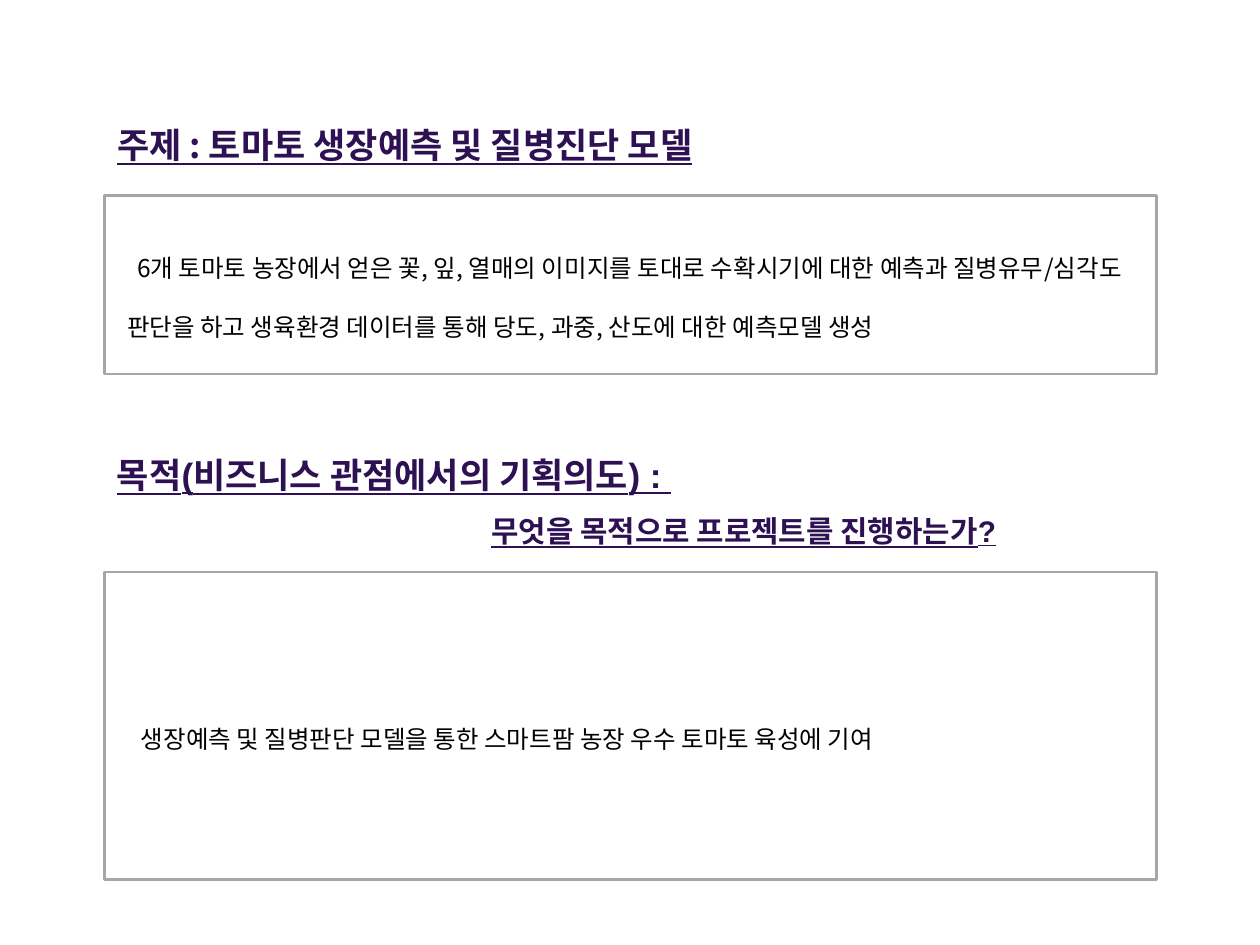
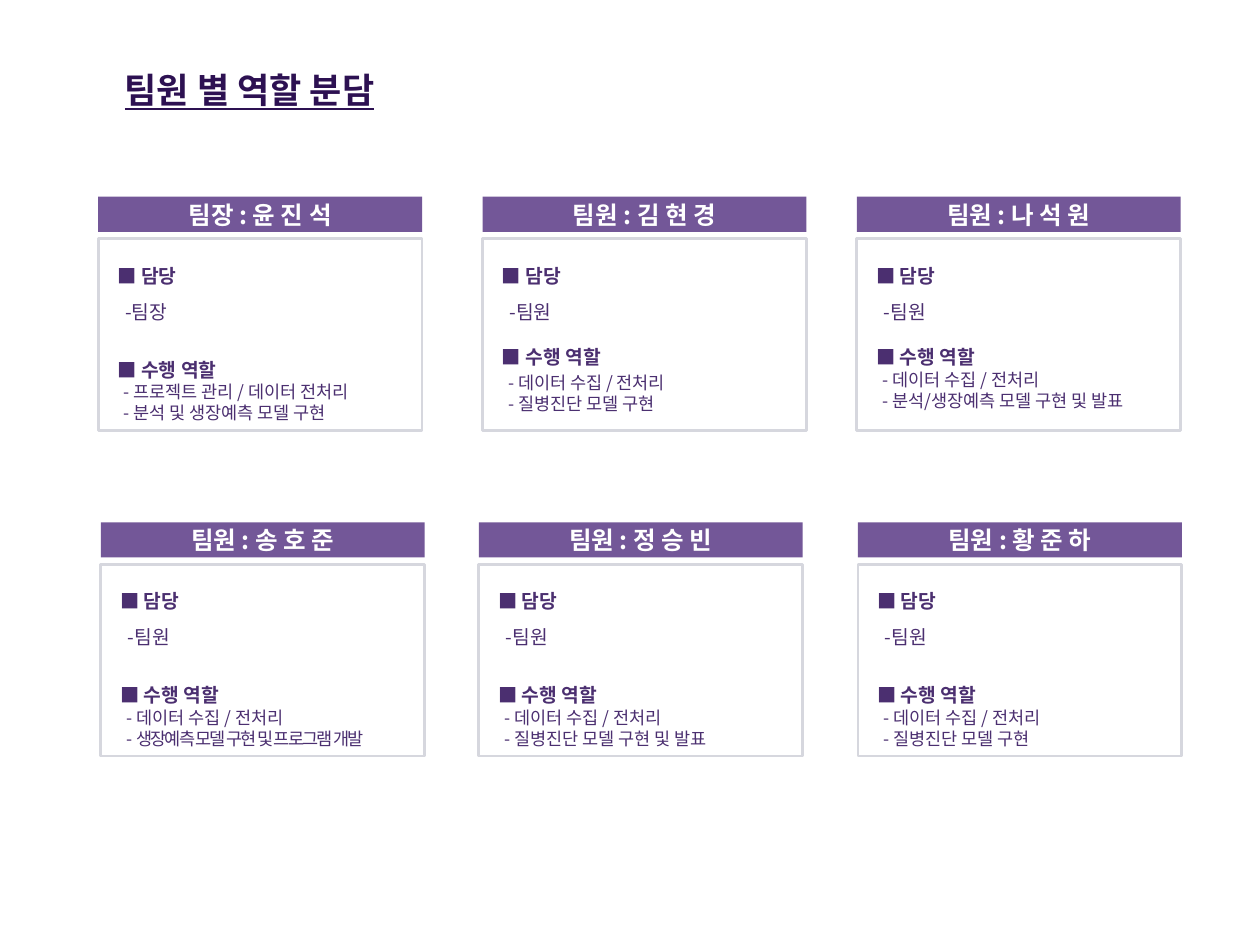
from dataclasses import dataclass

from pptx import Presentation
from pptx.dml.color import RGBColor
from pptx.enum.shapes import MSO_SHAPE
from pptx.enum.text import MSO_ANCHOR, MSO_AUTO_SIZE, PP_ALIGN
from pptx.oxml.ns import qn
from pptx.util import Inches, Pt

RECT = MSO_SHAPE.RECTANGLE
TOP, MIDDLE = MSO_ANCHOR.TOP, MSO_ANCHOR.MIDDLE
LEFT, CENTER, JUSTIFY = PP_ALIGN.LEFT, PP_ALIGN.CENTER, PP_ALIGN.JUSTIFY
FIXED = MSO_AUTO_SIZE.NONE
TITLE_ONLY = 5
COLS, ROWS = 100, 75  # square grid cells


@dataclass(frozen=True)
class Theme:
    # Colours
    title: str = "2D1152"
    text: str = "000000"
    note: str = "4B2F70"
    bar: str = "735798"
    white: str = "FFFFFF"
    frame: str = "A6A6A6"
    edge: str = "D6D7DE"
    # Fonts
    sans: str = "Noto Sans CJK KR"
    latin: str = "Arial"
    # Type sizes and line width in points
    head: float = 20
    sub: float = 17
    body: float = 14
    label: float = 11
    item: float = 10
    line: float = 1.5


class Deck:
    def __init__(self, theme):
        self.theme = theme
        self.prs = Presentation()
        self.prs.slide_width, self.prs.slide_height = Inches(10), Inches(7.5)
        self.slide = self.pane = None

    def place(self, box):
        """Turn grid left, top, width and height into lengths."""
        wide, high = self.prs.slide_width / COLS, self.prs.slide_height / ROWS
        x, y, w, h = box
        return [int(n) for n in (x * wide, y * high, w * wide, h * high)]

    def start(self):
        self.slide = self.prs.slides.add_slide(
            self.prs.slide_layouts[TITLE_ONLY])
        self.pane = self.slide.shapes

    def style(self, para, size, color, high, font=None, bold=False,
              under=False, align=LEFT, left=0, first=0, before=0, after=0,
              tight=False):
        """Format a paragraph; high is its line height in points."""
        para.alignment = align
        para.line_spacing = Pt(high)
        para.space_before, para.space_after = Pt(before), Pt(after)
        props = para._p.get_or_add_pPr()
        props.set("marL", str(Inches(left)))
        props.set("indent", str(Inches(first)))
        for run in para.runs:
            face = run.font
            face.name, face.size = font or self.theme.sans, Pt(size)
            face.bold, face.underline = bold, under
            face.color.rgb = RGBColor.from_string(color)
            asian = face._element.makeelement(
                qn("a:ea"), {"typeface": self.theme.sans})
            face._element.find(qn("a:latin")).addnext(asian)
        if tight:
            para.runs[-1].font._element.set("spc", "-100")

    def title(self, text, box, font, align=LEFT):
        shape = self.slide.shapes.title
        shape.left, shape.top, shape.width, shape.height = self.place(box)
        frame = shape.text_frame
        frame.auto_size, frame.word_wrap = FIXED, True
        frame.vertical_anchor = TOP
        frame.text = text
        self.style(frame.paragraphs[0], self.theme.head, self.theme.title, 25,
                   font=font, bold=True, under=True, align=align)

    def note(self, lines, box):
        """Add a text box; each line is a text, or its runs, and a style."""
        frame = self.pane.add_textbox(*self.place(box)).text_frame
        frame.word_wrap = True
        for num, (text, look) in enumerate(lines):
            para = frame.add_paragraph() if num else frame.paragraphs[0]
            for part in [text] if isinstance(text, str) else text:
                para.add_run().text = part
            self.style(para, **look)

    def rect(self, box, fill=None, line=None):
        shape = self.pane.add_shape(RECT, *self.place(box))
        shape.shadow.inherit = False
        if fill:
            shape.fill.solid()
            shape.fill.fore_color.rgb = RGBColor.from_string(fill)
        else:
            shape.fill.background()
        if line:
            shape.line.color.rgb = RGBColor.from_string(line)
            shape.line.width = Pt(self.theme.line)
        else:
            shape.line.fill.background()
        return shape

    def bar(self, text, box):
        frame = self.rect(box, fill=self.theme.bar).text_frame
        frame.margin_top = frame.margin_bottom = 0
        frame.vertical_anchor = MIDDLE
        frame.text = text
        self.style(frame.paragraphs[0], self.theme.body, self.theme.white, 17,
                   bold=True, align=CENTER)

    def card(self, x, y, role, name, tasks, high=20.5, after=0, tight=False):
        """Group a name bar, a frame and the duties of one member."""
        look = self.theme
        self.pane = self.slide.shapes.add_group_shape().shapes
        self.bar(f"{role} : {name}", (x, y, 25.7, 2.8))
        self.rect((x, y + 3.35, 25.7, 15.2), line=look.edge)
        label = dict(size=look.label, color=look.note, high=20.5)
        lines = [
            ("■ 담당", dict(label, bold=True)),
            (f"-{role}", dict(label, left=.06)),
            ("■ 수행 역할", dict(label, bold=True, high=high, before=12.7,
                             after=after)),
        ]
        item = dict(size=look.item, color=look.note, high=12, left=.05)
        lines += [(("- ", task), dict(item, tight=tight and task == tasks[-1]))
                  for task in tasks]
        self.note(lines, (x + .55, y + 3.85, 24.7, 14.6))
        self.pane = self.slide.shapes


theme = Theme()
deck = Deck(theme)

# Slide 1: topic and purpose
deck.start()
deck.title("주제 : 토마토 생장예측 및 질병진단 모델", (8.3, 9.2, 69.9, 4.4),
           theme.sans, JUSTIFY)
for top, tall in ((15.5, 14.2), (45.4, 24.4)):
    deck.rect((8.3, top, 83.5, tall), line=theme.frame)

head = dict(color=theme.title, font=theme.latin, bold=True, under=True)
deck.note([
    ("목적(비즈니스 관점에서의 기획의도) : ",
     dict(head, size=theme.head, high=37.8)),
    ("무엇을 목적으로 프로젝트를 진행하는가?",
     dict(head, size=theme.sub, high=30, left=2.97)),
], (8.3, 33.6, 83.5, 10.4))

body = dict(size=theme.body, color=theme.text, high=33.8, first=.08)
deck.note([("6개 토마토 농장에서 얻은 꽃, 잎, 열매의 이미지를 토대로 수확시기에 "
            "대한 예측과 질병유무/심각도 판단을 하고 생육환경 데이터를 통해 "
            "당도, 과중, 산도에 대한 예측모델 생성", body)],
          (9.1, 17.2, 81.9, 10.4))
deck.note([("생장예측 및 질병판단 모델을 통한 스마트팜 농장 우수 토마토 육성에 "
            "기여", body)], (9.4, 54.6, 81.9, 5))

# Slide 2: roles in the team
deck.start()
deck.title("팀원 별 역할 분담", (8.9, 4.8, 24.6, 4.4), theme.latin)

UPPER, LOWER = 15.6, 41.45
DATA = "데이터 수집 / 전처리"
SICK = "질병진단 모델 구현"
deck.card(7.8, UPPER, "팀장", "윤 진 석",
          ["프로젝트 관리 / 데이터 전처리", "분석 및 생장예측 모델 구현"])
deck.card(38.3, UPPER, "팀원", "김 현 경", [DATA, SICK], high=13.5, after=2)
deck.card(68, UPPER, "팀원", "나 석 원",
          [DATA, "분석/생장예측 모델 구현 및 발표"], high=13.5)
deck.card(8, LOWER, "팀원", "송 호 준",
          [DATA, "생장예측 모델 구현 및 프로그램 개발"], tight=True)
deck.card(38, LOWER, "팀원", "정 승 빈", [DATA, SICK + " 및 발표"])
deck.card(68.1, LOWER, "팀원", "황 준 하", [DATA, SICK])

deck.prs.save("out.pptx")
